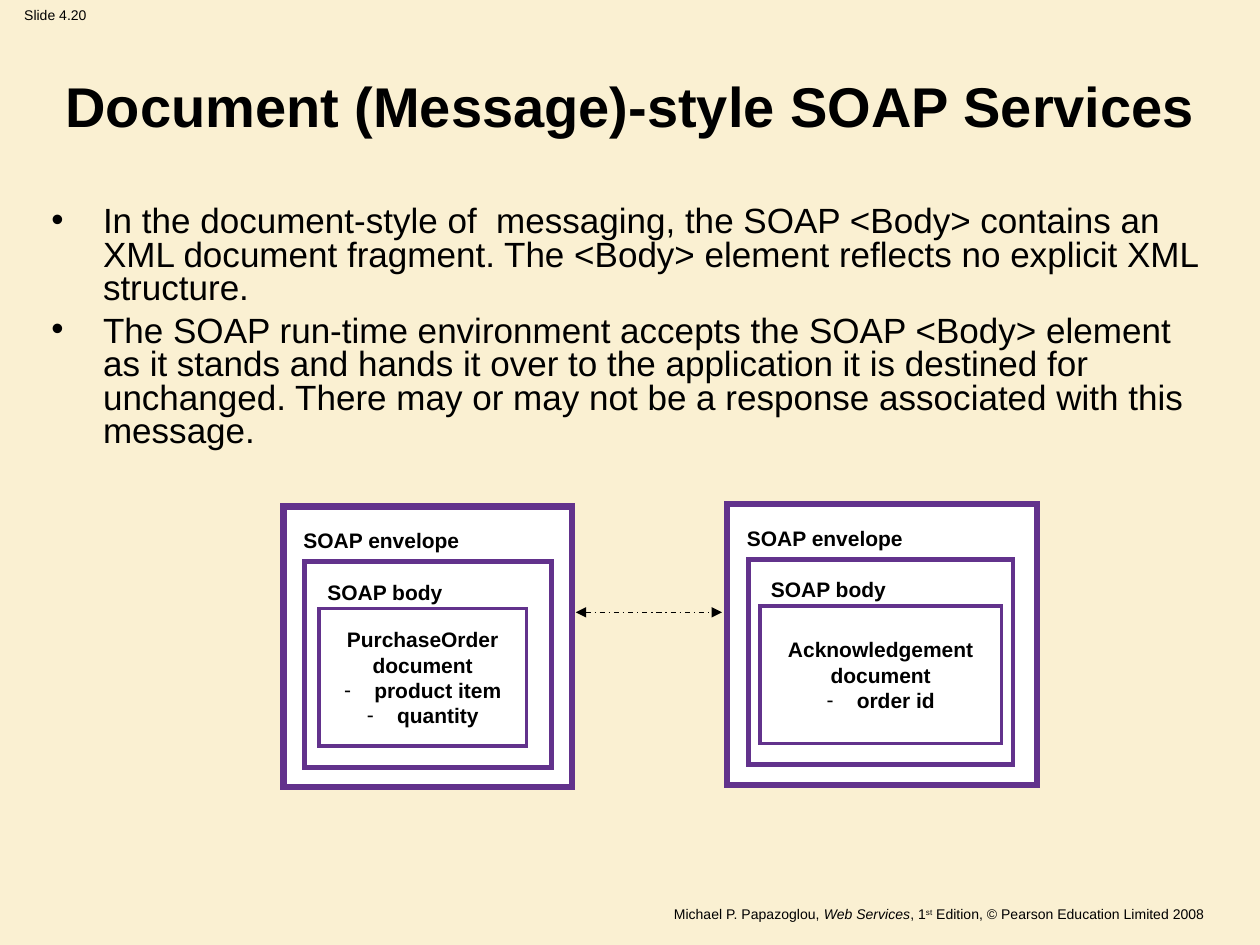
"""Builds a slide on document-style SOAP services."""
from lxml import etree
from pptx import Presentation
from pptx.dml.color import RGBColor
from pptx.enum.dml import MSO_LINE
from pptx.enum.shapes import MSO_CONNECTOR, MSO_SHAPE
from pptx.enum.text import MSO_ANCHOR, PP_ALIGN
from pptx.oxml.ns import qn
from pptx.util import Pt

PX = 9144
LEFT, MID, RIGHT = PP_ALIGN.LEFT, PP_ALIGN.CENTER, PP_ALIGN.RIGHT
TOP, CENTER, BASE = MSO_ANCHOR.TOP, MSO_ANCHOR.MIDDLE, MSO_ANCHOR.BOTTOM
RECT, LINE, DASH = MSO_SHAPE.RECTANGLE, MSO_CONNECTOR.STRAIGHT, MSO_LINE.DASH_DOT
INK, RIM, FILL, PAPER = "000000", "62328C", "FFFFFF", "FAF0D2"
hue = RGBColor.from_string


def write(shape, lines, size, bold=False, align=LEFT, anchor=TOP, wrap=True):
    frame = shape.text_frame
    frame.word_wrap = wrap
    frame.vertical_anchor = anchor
    for i, (mark, dent, text) in enumerate(lines):
        para = frame.paragraphs[0] if i == 0 else frame.add_paragraph()
        para.alignment = align
        if mark:
            props = para._p.get_or_add_pPr()
            props.set("marL", str(dent * PX))
            props.set("indent", str(-dent * PX))
            etree.SubElement(props, qn("a:buFont")).set("typeface", "Arial")
            etree.SubElement(props, qn("a:buChar")).set("char", mark)
        for part in text if isinstance(text, list) else [text]:
            para.add_run().text = part
        para.font.name = "Arial"
        para.font.size = Pt(size)
        para.font.bold = bold
        para.font.color.rgb = hue(INK)
    return frame.paragraphs


def frame_box(x, y, w, h, rim):
    box = slide.shapes.add_shape(RECT, x * PX, y * PX, w * PX, h * PX)
    box.shadow.inherit = False
    box.fill.solid()
    box.fill.fore_color.rgb = hue(FILL)
    box.line.color.rgb = hue(RIM)
    box.line.width = Pt(rim)
    etree.SubElement(box.line._get_or_add_ln(), qn("a:miter")).set("lim", "800000")
    return box


deck = Presentation()
deck.slide_width, deck.slide_height = 1000 * PX, 750 * PX
slide = deck.slides.add_slide(deck.slide_layouts[6])
slide.background.fill.solid()
slide.background.fill.fore_color.rgb = hue(PAPER)
add_text = slide.shapes.add_textbox

page = add_text(0, 0, 88 * PX, 24 * PX)
write(page, [("", 0, "Slide 4.20")], 8, align=MID, wrap=False)

credit = ["Michael P. Papazoglou, ", "Web Services", ", 1", "st",
          " Edition, © Pearson Education Limited 2008 "]
foot = add_text(24 * PX, 714 * PX, 945 * PX, 21 * PX)
runs = write(foot, [("", 0, credit)], 8, align=RIGHT)[0].runs
runs[1].font.italic = True
runs[3]._r.get_or_add_rPr().set("baseline", "30000")

title = add_text(14 * PX, 51 * PX, 973 * PX, 64 * PX)
write(title, [("", 0, "Document (Message)-style SOAP Services")], 32, True, MID, BASE)

points = [
    "In the document-style of  messaging, the SOAP <Body> contains an XML document "
    "fragment. The <Body> element reflects no explicit XML structure.",
    "The SOAP run-time environment accepts the SOAP <Body> element as it stands and "
    "hands it over to the application it is destined for unchanged. There may or may "
    "not be a response associated with this message.",
]
body = add_text(31 * PX, 159 * PX, 944 * PX, 227 * PX)
paras = write(body, [("•", 41, point) for point in points], 20)
for para in paras:
    para.line_spacing = 0.8
paras[1].space_before = Pt(5)

sides = [
    (225, 402, 229, 196, 28, 165, ["PurchaseOrder", "document"], ["product item", "quantity"]),
    (577, 400, 246, 210, 26, 192, ["Acknowledgement", "document"], ["order id"]),
]
for x, y, outer, inner, shift, width, heads, items in sides:
    frame_box(x, y, outer, 223, 3.5)
    label = add_text((x + 6) * PX, (y + 12) * PX, 150 * PX, 30 * PX)
    write(label, [("", 0, "SOAP envelope")], 12, True)
    frame_box(x + 17, y + 44, inner, 163, 2.75)
    label = add_text((x + 25) * PX, (y + 53) * PX, 120 * PX, 30 * PX)
    write(label, [("", 0, "SOAP body")], 12, True)
    core = frame_box(x + shift, y + 81, width, 109, 2)
    lines = [("", 0, head) for head in heads] + [("-", 24, item) for item in items]
    write(core, lines, 12, True, MID, CENTER)

link = slide.shapes.add_connector(LINE, 457 * PX, 486 * PX, 573 * PX, 486 * PX)
link.line.color.rgb = hue(INK)
link.line.width = Pt(0.75)
link.line.dash_style = DASH
for end in ("a:headEnd", "a:tailEnd"):
    etree.SubElement(link.line._get_or_add_ln(), qn(end)).set("type", "triangle")
etree.SubElement(link._element.spPr, qn("a:effectLst"))

deck.save("out.pptx")
